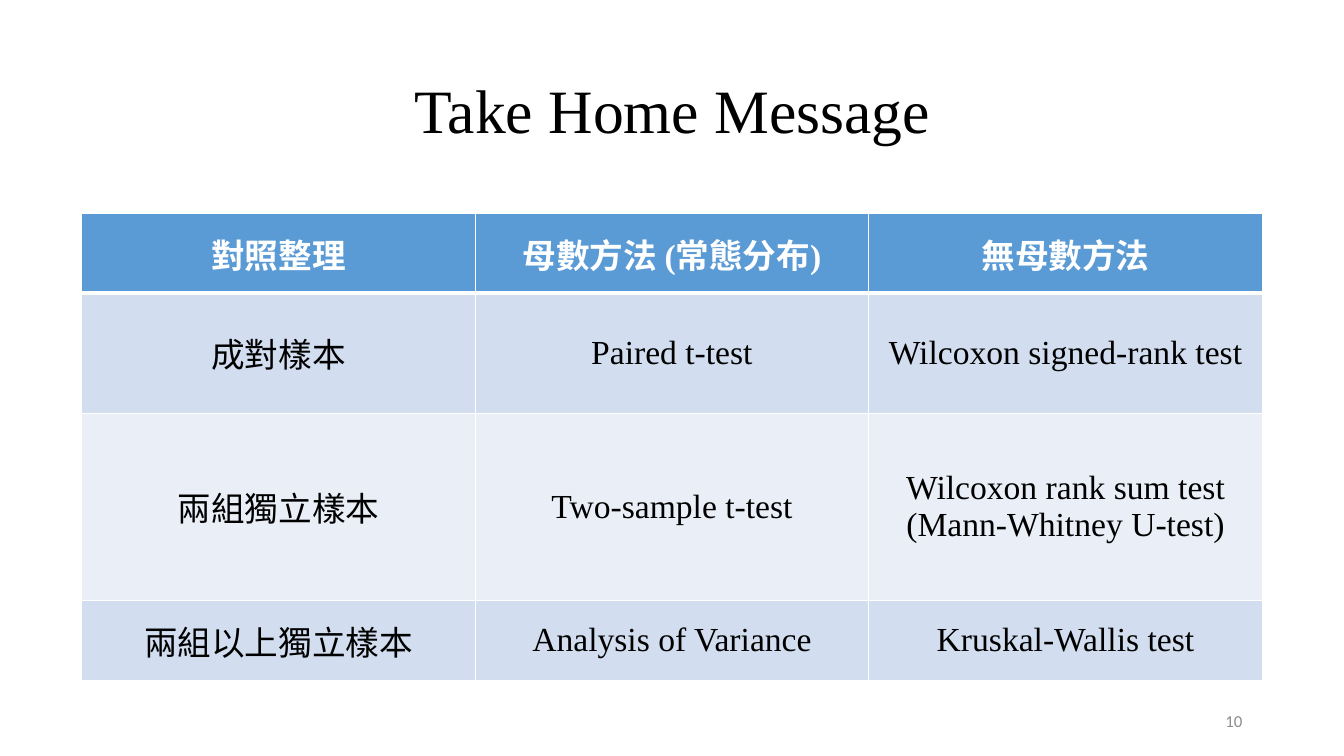
from dataclasses import dataclass

from lxml import etree
from pptx import Presentation
from pptx.dml.color import RGBColor
from pptx.enum import text
from pptx.oxml import ns
from pptx.util import Inches, Pt


@dataclass(frozen=True)
class Theme:
    serif: str = "Times New Roman"
    sans: str = "Calibri"
    ink: str = "000000"
    white: str = "FFFFFF"
    muted: str = "8C8C8C"
    header: str = "5B9BD5"
    bands: tuple = ("D2DEEF", "EAEFF7")
    title_size: int = 44
    table_size: int = 24
    number_size: int = 12
    thin: int = 1
    thick: int = 3


class SlideBuilder:
    def __init__(self, slide, theme):
        self.slide = slide
        self.theme = theme

    def set_text(self, frame, wording, size, font, color, align, bold=False):
        frame.text = wording
        for paragraph in frame.paragraphs:
            paragraph.alignment = align
            paragraph.font.size = Pt(size)
            paragraph.font.name = font
            paragraph.font.bold = bold
            paragraph.font.color.rgb = RGBColor.from_string(color)

    def title(self, wording, left, top, width, height):
        heading = self.slide.shapes.title
        heading.left, heading.top = Inches(left), Inches(top)
        heading.width, heading.height = Inches(width), Inches(height)
        heading.text_frame.vertical_anchor = text.MSO_ANCHOR.MIDDLE
        self.set_text(heading.text_frame, wording, self.theme.title_size,
                      self.theme.serif, self.theme.ink, text.PP_ALIGN.CENTER)
        heading.text_frame.paragraphs[0].line_spacing = 0.9

    def page_number(self, number, left, top, width, height):
        box = self.slide.shapes.add_textbox(
            Inches(left), Inches(top), Inches(width), Inches(height))
        box.text_frame.word_wrap = True
        box.text_frame.vertical_anchor = text.MSO_ANCHOR.MIDDLE
        self.set_text(box.text_frame, number, self.theme.number_size,
                      self.theme.sans, self.theme.muted, text.PP_ALIGN.RIGHT)

    def borders(self, cell, top, bottom):
        properties = cell._tc.get_or_add_tcPr()
        widths = {"L": self.theme.thin, "R": self.theme.thin,
                  "T": top, "B": bottom}
        for side, width in widths.items():
            line = etree.SubElement(
                properties, ns.qn(f"a:ln{side}"), w=str(Pt(width)))
            fill = etree.SubElement(line, ns.qn("a:solidFill"))
            etree.SubElement(fill, ns.qn("a:srgbClr"), val=self.theme.white)

    def table(self, rows, heights, left, top, width):
        theme = self.theme
        grid = self.slide.shapes.add_table(
            len(rows), len(rows[0]), Inches(left), Inches(top),
            Inches(width), Inches(sum(heights))).table
        for r, (row, height) in enumerate(zip(rows, heights)):
            grid.rows[r].height = Inches(height)
            is_header = r == 0
            band = theme.header if is_header else theme.bands[(r - 1) % 2]
            for c, wording in enumerate(row):
                cell = grid.cell(r, c)
                self.borders(cell,
                             top=theme.thick if r == 1 else theme.thin,
                             bottom=theme.thick if is_header else theme.thin)
                cell.fill.solid()
                cell.fill.fore_color.rgb = RGBColor.from_string(band)
                cell.vertical_anchor = text.MSO_ANCHOR.MIDDLE
                self.set_text(cell.text_frame, wording,
                              theme.table_size, theme.serif,
                              theme.white if is_header else theme.ink,
                              text.PP_ALIGN.CENTER, bold=is_header)


def main():
    deck = Presentation()
    deck.slide_width, deck.slide_height = Inches(13.33), Inches(7.5)
    title_only = deck.slide_layouts[5]
    builder = SlideBuilder(deck.slides.add_slide(title_only), Theme())

    # Title
    builder.title("Take Home Message", 0.92, 0.4, 11.5, 1.45)

    # Comparison of test methods
    methods = [
        ("對照整理", "母數方法 (常態分布)", "無母數方法"),
        ("成對樣本", "Paired t-test", "Wilcoxon signed-rank test"),
        ("兩組獨立樣本", "Two-sample t-test",
         "Wilcoxon rank sum test\n(Mann-Whitney U-test)"),
        ("兩組以上獨立樣本", "Analysis of Variance", "Kruskal-Wallis test"),
    ]
    builder.table(methods, [0.79, 1.19, 1.86, 0.79], 0.81, 2.12, 11.71)

    # Page number
    builder.page_number("10", 9.42, 6.95, 3, 0.4)

    deck.save("out.pptx")


if __name__ == "__main__":
    main()
